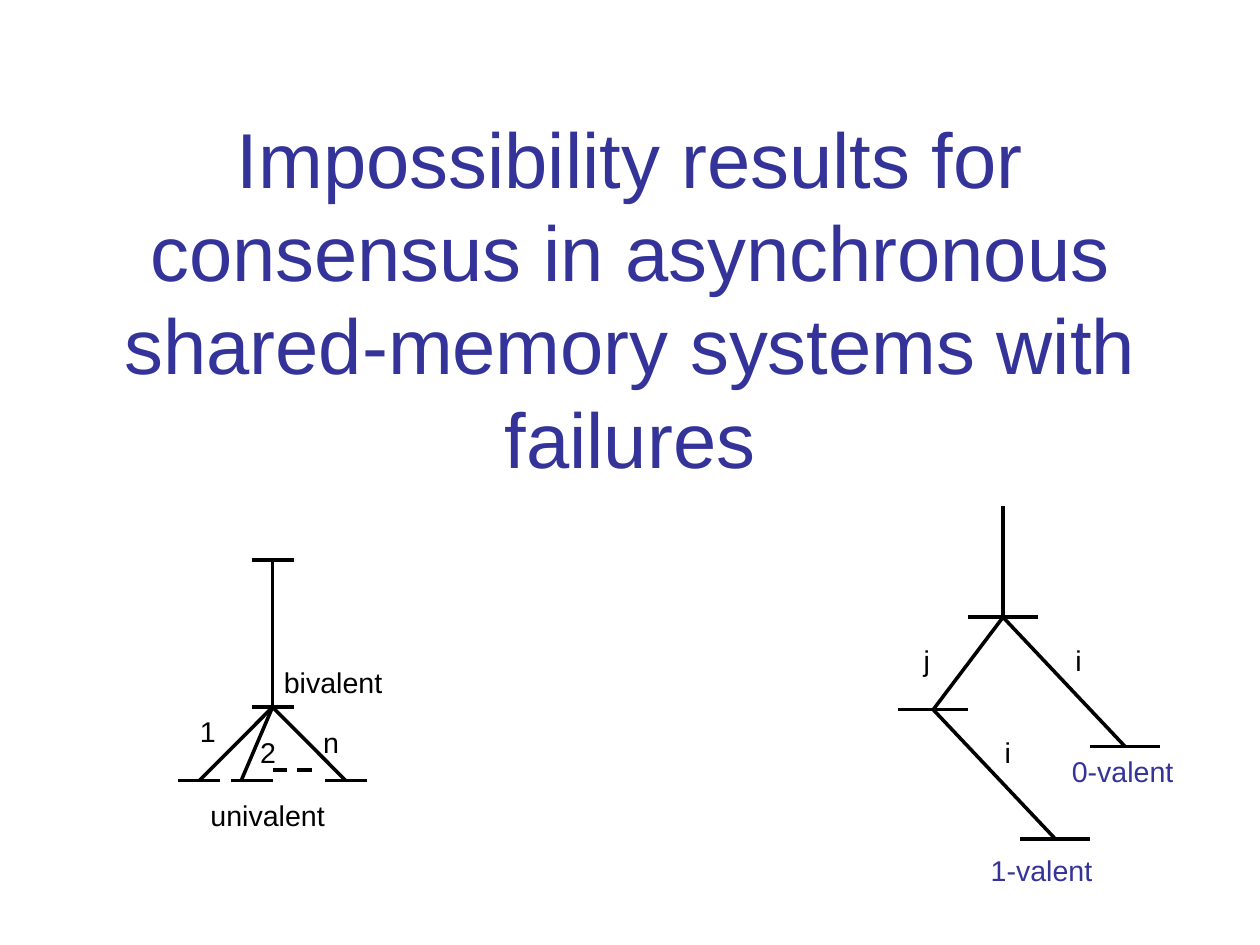
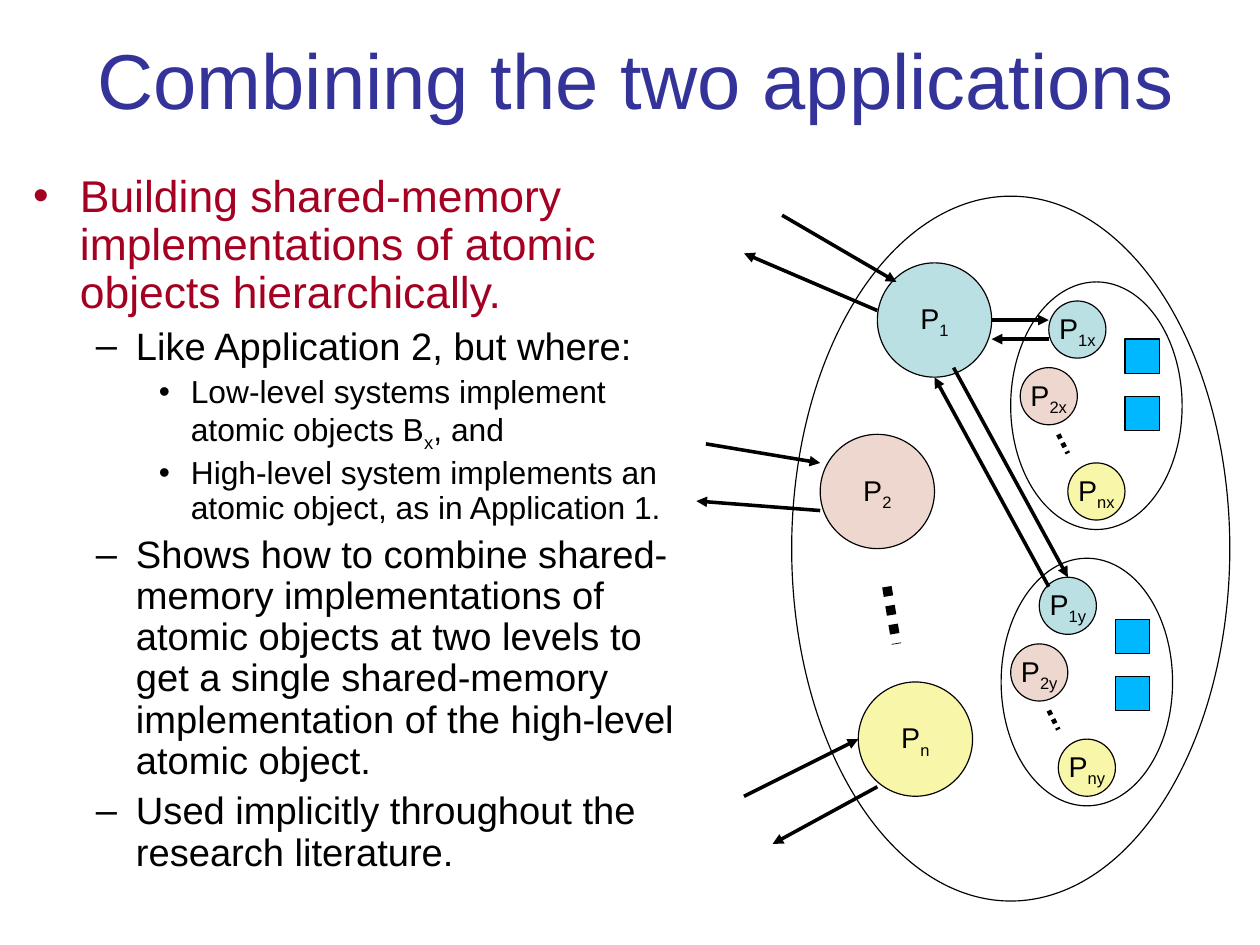
from lxml import etree
from pptx import Presentation
from pptx.dml.color import RGBColor
from pptx.enum.dml import MSO_LINE
from pptx.enum.shapes import MSO_CONNECTOR, MSO_SHAPE
from pptx.enum.text import MSO_ANCHOR, PP_ALIGN
from pptx.oxml.ns import qn
from pptx.util import Emu, Inches, Pt

NAVY = RGBColor(0x33, 0x33, 0x99)
RED = RGBColor(0xA5, 0x00, 0x21)
BLACK = RGBColor(0x00, 0x00, 0x00)
TEAL = RGBColor(0xBB, 0xE0, 0xE3)
PINK = RGBColor(0xEE, 0xD7, 0xCE)
CREAM = RGBColor(0xF8, 0xF6, 0xA8)
BLUE = RGBColor(0x00, 0xB8, 0xFF)
LEFT, CENTER = PP_ALIGN.LEFT, PP_ALIGN.CENTER
MIDDLE = MSO_ANCHOR.MIDDLE
OVAL, RECT = MSO_SHAPE.OVAL, MSO_SHAPE.RECTANGLE
STRAIGHT = MSO_CONNECTOR.STRAIGHT
DASH, DOTS = MSO_LINE.DASH, MSO_LINE.ROUND_DOT
FONT = "Arial"


def write(para, text, size, color, align=LEFT, space=1.04):
    para.alignment = align
    para.line_spacing = space
    for index, part in enumerate(text.split("_")):
        run = para.add_run()
        run.text = part
        run.font.name = FONT
        run.font.size = Pt(size)
        run.font.color.rgb = color
        if index % 2:
            run._r.get_or_add_rPr().set("baseline", "-25000")


def link(slide, grid, ends, width=2.25, dash=None, arrow=False):
    left, top, col, row = grid
    x1, y1, x2, y2 = ends
    line = slide.shapes.add_connector(
        STRAIGHT, Inches(left + x1 * col), Inches(top + y1 * row),
        Inches(left + x2 * col), Inches(top + y2 * row))
    line.line.color.rgb = BLACK
    line.line.width = Pt(width)
    if dash:
        line.line.dash_style = dash
    if arrow:
        etree.SubElement(line.line._get_or_add_ln(), qn("a:tailEnd"), type="triangle")
    etree.SubElement(line._element.spPr, qn("a:effectLst"))


deck = Presentation()
deck.slide_width, deck.slide_height = Emu(10080625), Emu(7559675)
blank = deck.slide_layouts[6]

heads = [
    ("Impossibility results for consensus in asynchronous "
     "shared-memory systems with failures", 0.55, 0.33, 4.54),
    ("Combining the two applications", 0.6, 0, 1.38),
]
slides = []
for text, x, y, high in heads:
    slide = deck.slides.add_slide(blank)
    frame = slide.shapes.add_textbox(
        Inches(x), Inches(y), Inches(9.92), Inches(high)).text_frame
    frame.word_wrap = True
    frame.vertical_anchor = MIDDLE
    frame.margin_left = frame.margin_right = Inches(0.11)
    frame.margin_top = frame.margin_bottom = Inches(0.06)
    write(frame.paragraphs[0], text, 49, NAVY, CENTER, 1.0)
    slides.append(slide)
first, second = slides

fan = (1.56, 4.9, 1.65 / 18, 1.93 / 21)
fork = (7.86, 4.43, 2.29 / 15, 2.91 / 18)
trees = [
    (fan,
     [(9, 0, 9, 14), (9, 14, 2, 21), (9, 14, 6, 21), (9, 14, 16, 21)],
     [(7, 0), (7, 14), (0, 21), (5, 21), (14, 21)],
     [("bivalent", 9, 9.3, BLACK), ("1", 1, 14, BLACK), ("2", 6.75, 16, BLACK),
      ("n", 12.75, 15, BLACK), ("univalent", 2, 22, BLACK)]),
    (fork,
     [(6, 0, 6, 6), (6, 6, 2, 11), (6, 6, 13, 13), (2, 11, 9, 18)],
     [(4, 6), (0, 11), (11, 13), (7, 18)],
     [("j", 0.8, 7, BLACK), ("i", 9.5, 7, BLACK), ("i", 5.45, 12, BLACK),
      ("0-valent", 9.3, 13, NAVY), ("1-valent", 4.65, 18.4, NAVY)]),
]
for grid, stems, bars, labels in trees:
    left, top, col, row = grid
    for ends in stems:
        link(first, grid, ends)
    for x, y in bars:
        link(first, grid, (x, y, x + 4, y))
    for text, x, y, color in labels:
        frame = first.shapes.add_textbox(
            Inches(left + x * col), Inches(top + y * row),
            Inches(1.3), Inches(0.41)).text_frame
        frame.word_wrap = True
        write(frame.paragraphs[0], text, 18, color)
link(first, fan, (9, 20, 13, 20), dash=DASH)

points = [
    (0, "Building shared-memory implementations of atomic objects hierarchically."),
    (1, "Like Application 2, but where:"),
    (2, "Low-level systems implement atomic objects B_x_, and"),
    (2, "High-level system implements an atomic object, as in Application 1."),
    (1, "Shows how to combine shared-memory implementations of atomic objects at "
        "two levels to get a single shared-memory implementation of the "
        "high-level atomic object."),
    (1, "Used implicitly throughout the research literature."),
]
levels = [
    (28, RED, 7, 0.41, 0.41, "•"),
    (24, BLACK, 6, 0.9, 0.35, "–"),
    (20, BLACK, 5, 1.38, 0.28, "•"),
]
frame = second.shapes.add_textbox(
    Inches(0.18), Inches(1.46), Inches(5.92), Inches(6.5)).text_frame
frame.word_wrap = True
frame.margin_left = frame.margin_right = Inches(0.11)
frame.margin_top = frame.margin_bottom = Inches(0.06)
for index, (level, text) in enumerate(points):
    size, color, gap, indent, hang, mark = levels[level]
    para = frame.add_paragraph() if index else frame.paragraphs[0]
    write(para, text, size, color, space=0.9)
    para.level = level
    para.space_before = Pt(gap)
    props = para._p.get_or_add_pPr()
    props.set("marL", str(Inches(indent)))
    props.set("indent", str(-Inches(hang)))
    tint = etree.SubElement(props, qn("a:buClr"))
    etree.SubElement(tint, qn("a:srgbClr"), val=str(color))
    etree.SubElement(props, qn("a:buFont"), typeface=FONT)
    etree.SubElement(props, qn("a:buChar"), char=mark)

net = (0.01, 0.05, 1 / 12, 1 / 12)
left, top, col, row = net
nodes = [
    (OVAL, 83, 20, 46, 74, None, ""),
    (OVAL, 92, 27, 12, 12, TEAL, "P_1"),
    (OVAL, 86, 45, 12, 12, PINK, "P_2"),
    (OVAL, 90, 71, 12, 12, CREAM, "P_n"),
]
dots = [((93, 61, 94, 67), 6)]
for name, x, y, drop in [("x", 106, 29, 6), ("y", 105, 58, 6.4)]:
    nodes += [
        (OVAL, x, y, 18, 26, None, ""),
        (OVAL, x + 4, y + 2, 6, 6, TEAL, "P_1" + name),
        (OVAL, x + 1, y + 9, 6, 6, PINK, "P_2" + name),
        (OVAL, x + 6, y + 19, 6, 6, CREAM, "P_n" + name),
        (RECT, x + 12, y + drop, 3.6, 3.6, BLUE, ""),
        (RECT, x + 12, y + drop + 6, 3.6, 3.6, BLUE, ""),
    ]
    dots.append(((x + 5, y + 16, x + 6, y + 18), 3))
for kind, x, y, wide, high, fill, text in nodes:
    node = second.shapes.add_shape(
        kind, Inches(left + x * col), Inches(top + y * row),
        Inches(wide * col), Inches(high * row))
    node.shadow.inherit = False
    node.line.color.rgb = BLACK
    node.line.width = Pt(0.75)
    if fill is None:
        node.fill.background()
    else:
        node.fill.solid()
        node.fill.fore_color.rgb = fill
    if text:
        node.text_frame.word_wrap = False
        node.text_frame.vertical_anchor = MIDDLE
        write(node.text_frame.paragraphs[0], text, 18, BLACK, CENTER)

for ends, width in dots:
    link(second, net, ends, width, DOTS)
arrows = [
    (82, 22, 94, 29), (92, 32, 78, 26),
    (74, 46, 86, 48), (86, 53, 73, 52),
    (78, 83, 90, 77), (92, 82, 81, 88),
    (104, 33, 110, 33), (110, 35, 104, 35),
    (100, 38, 112, 60), (110, 61, 98, 39),
]
for ends in arrows:
    link(second, net, ends, arrow=True)

deck.save("out.pptx")
